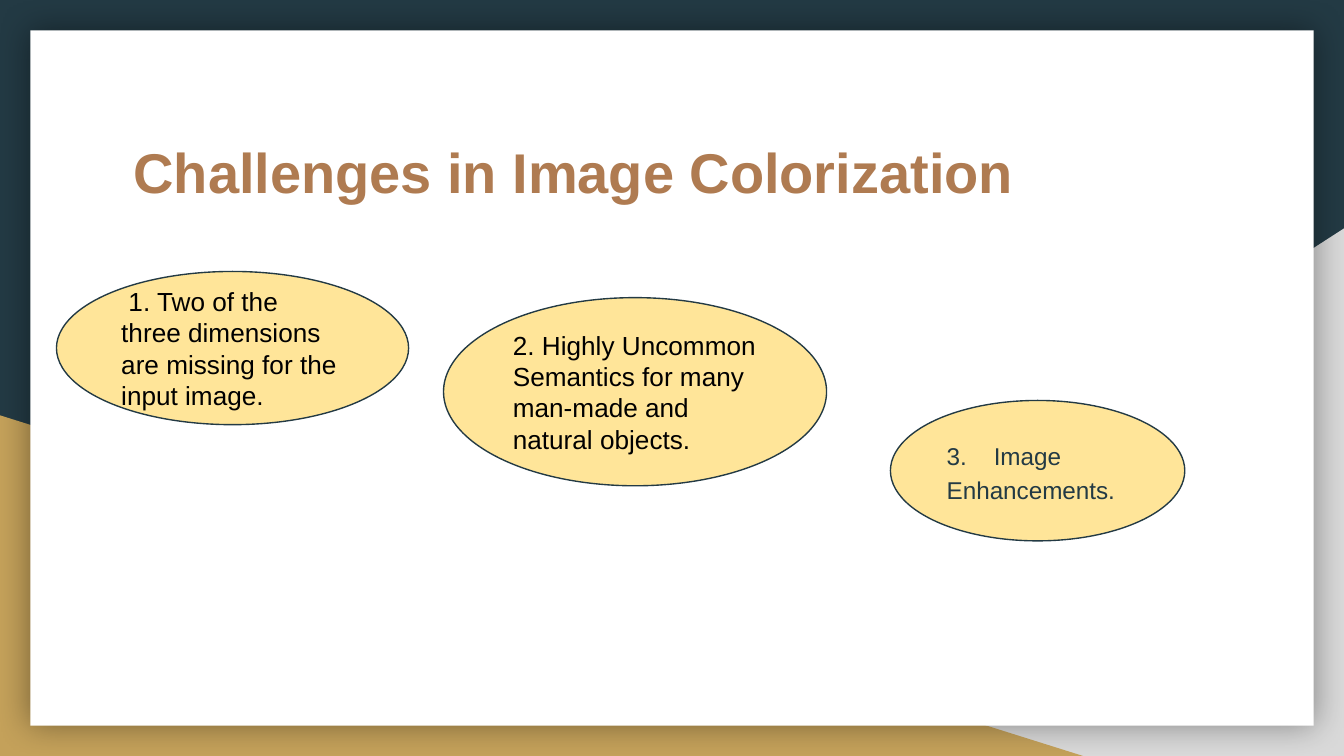
import pptx
import pptx.util
import pptx.dml.color
import pptx.enum.shapes
import pptx.enum.text
import lxml.etree

PX = 4572  # 200 px to the inch
RGBColor = pptx.dml.color.RGBColor
NAVY = RGBColor(0x23, 0x3A, 0x44)
GREY = RGBColor(0xD9, 0xD9, 0xD9)
OCHRE = RGBColor(0xC4, 0xA1, 0x5A)
WHITE = RGBColor(0xFF, 0xFF, 0xFF)
BROWN = RGBColor(0xAF, 0x7B, 0x51)
YELLOW = RGBColor(0xFF, 0xE5, 0x99)
BLACK = RGBColor(0, 0, 0)
SHAPE = pptx.enum.shapes.MSO_SHAPE
ANCHOR = pptx.enum.text.MSO_ANCHOR
A = "{http://schemas.openxmlformats.org/drawingml/2006/main}"

prs = pptx.Presentation()
prs.slide_width, prs.slide_height = 2000 * PX, 1125 * PX
s = prs.slides.add_slide(prs.slide_layouts[6])
s.background.fill.solid()
s.background.fill.fore_color.rgb = NAVY


def add_shape(kind, box, fill, line=None):
    sp = s.shapes.add_shape(kind, *[v * PX for v in box])
    sp.shadow.inherit = False
    sp.fill.solid()
    sp.fill.fore_color.rgb = fill
    if line is None:
        sp.line.fill.background()
    else:
        sp.line.color.rgb = line
        sp.line.width = pptx.util.Pt(0.75)
    return sp


def set_text(sp, text, size, color, anchor, bold=False):
    tf = sp.text_frame
    frame = {"word_wrap": True, "vertical_anchor": anchor}
    for side in ("left", "top", "right", "bottom"):
        frame["margin_" + side] = 20 * PX
    for name, value in frame.items():
        setattr(tf, name, value)
    p = tf.paragraphs[0]
    p.alignment = pptx.enum.text.PP_ALIGN.LEFT
    r = p.add_run()
    r.text = text
    for name, value in {"name": "Arial", "size": pptx.util.Pt(size), "bold": bold}.items():
        setattr(r.font, name, value)
    r.font.color.rgb = color
    return p


# Backdrop
grey = add_shape(SHAPE.RIGHT_TRIANGLE, (784, 340, 1216, 785), GREY)
grey.element.spPr.xfrm.set("flipH", "1")
add_shape(SHAPE.RIGHT_TRIANGLE, (0, 618, 1612, 507), OCHRE)

paper = add_shape(SHAPE.RECTANGLE, (45, 45, 1910, 1035), WHITE)
effects = paper.element.spPr.find(A + "effectLst")
shadow = lxml.etree.SubElement(effects, A + "outerShdw", blurRad=str(pptx.util.Pt(18)),
                               dist="0", dir="0", algn="ctr", rotWithShape="0")
shade = lxml.etree.SubElement(shadow, A + "srgbClr", val=str(BLACK))
lxml.etree.SubElement(shade, A + "alpha", val="40000")

title = s.shapes.add_textbox(*[v * PX for v in (179, 185, 1642, 208)])
set_text(title, "Challenges in Image Colorization", 30, BROWN, ANCHOR.TOP, bold=True)

# Challenges
challenges = [
    ((84, 404, 524, 228), " 1. Two of the three dimensions are missing for the input image.", 14, BLACK),
    ((660, 443, 570, 280), "2. Highly Uncommon Semantics for many man-made and natural objects.", 14, BLACK),
    ((1325, 596, 438, 209), "3.\tImage Enhancements.", 13, NAVY),
]
for box, text, size, color in challenges:
    sp = add_shape(SHAPE.OVAL, box, YELLOW, NAVY)
    p = set_text(sp, text, size, color, ANCHOR.MIDDLE)

# The last challenge is set looser, with a tab after its number
p.line_spacing = 1.15
p.space_after = pptx.util.Pt(12)
tabs = lxml.etree.SubElement(p._p.get_or_add_pPr(), A + "tabLst")
lxml.etree.SubElement(tabs, A + "tab", pos=str(70 * PX), algn="l")

prs.save("out.pptx")
